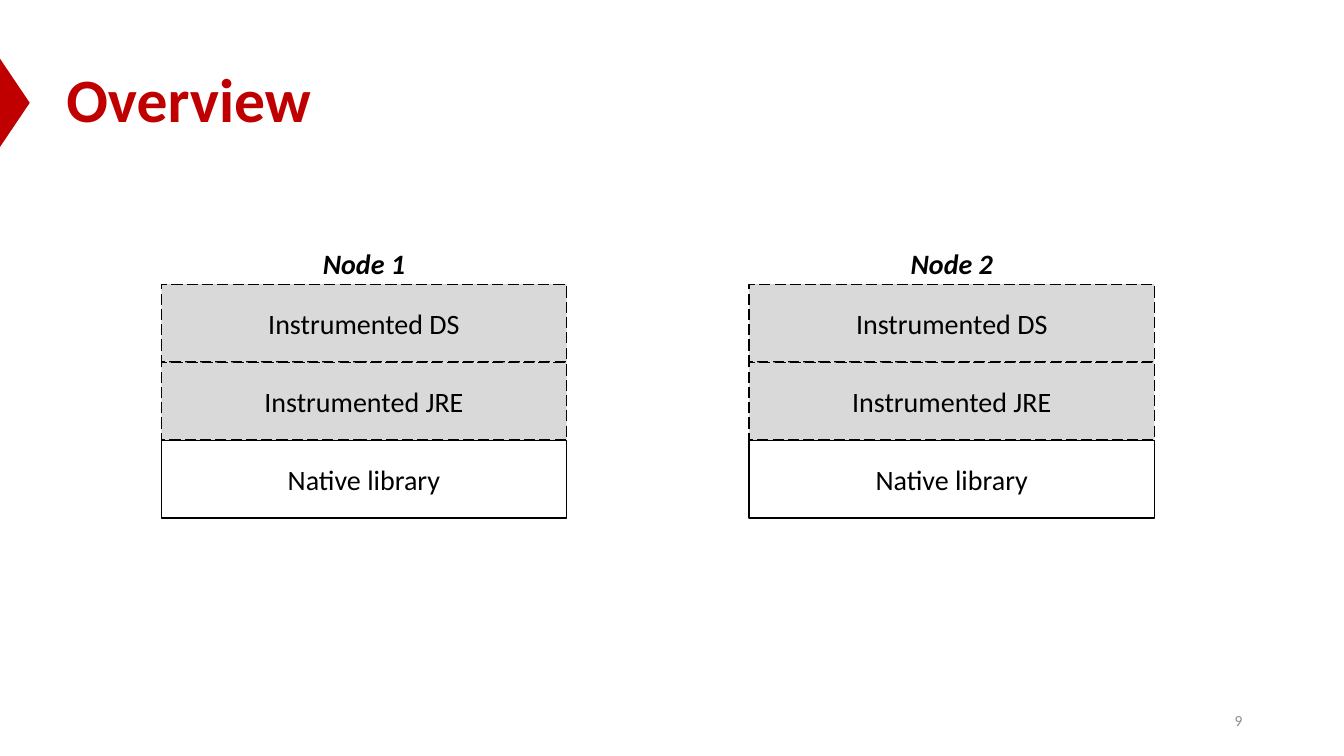
import pptx
import pptx.dml.color
import pptx.enum.dml
import pptx.enum.shapes
import pptx.enum.text
import pptx.util

Inches = pptx.util.Inches
RGBColor = pptx.dml.color.RGBColor
Align = pptx.enum.text.PP_ALIGN
Anchor = pptx.enum.text.MSO_ANCHOR
Preset = pptx.enum.shapes.MSO_SHAPE

TITLE = "Overview"
PAGE_NUMBER = "9"
NODES = ["Node 1", "Node 2"]
LAYERS = [  # label, instrumented
    ("Instrumented DS", True),
    ("Instrumented JRE", True),
    ("Native library", False),
]

RED = RGBColor(0xC0, 0x00, 0x00)
BLACK = RGBColor(0x00, 0x00, 0x00)
GREY = RGBColor(0x8C, 0x8C, 0x8C)
LIGHT_GREY = RGBColor(0xD9, 0xD9, 0xD9)

SLIDE_WIDTH, SLIDE_HEIGHT = 13.33, 7.5
STACK_LEFT, STACK_TOP = 1.6, 2.82
STACK_PITCH = 5.83
LAYER_WIDTH, LAYER_HEIGHT = 4.02, 0.77
LAYER_PITCH = 0.775
NODE_WIDTH, NODE_HEIGHT = 1.34, 0.44


def write(shape, text, size, color, align=Align.CENTER, anchor=Anchor.MIDDLE,
          bold=False, italic=False):
    frame = shape.text_frame
    frame.word_wrap = True
    frame.vertical_anchor = anchor
    frame.text = text
    paragraph = frame.paragraphs[0]
    paragraph.alignment = align
    font = paragraph.runs[0].font
    font.name, font.size = "Calibri", pptx.util.Pt(size)
    font.bold, font.italic = bold, italic
    font.color.rgb = color


def add_text(slide, box, *args, **style):
    label = slide.shapes.add_textbox(*map(Inches, box))
    write(label, *args, **style)
    return label


def add_layer(slide, left, top, text, instrumented):
    layer = slide.shapes.add_shape(
        Preset.RECTANGLE, *map(Inches, (left, top, LAYER_WIDTH, LAYER_HEIGHT)))
    layer.shadow.inherit = False
    layer.line.color.rgb = BLACK
    layer.line.width = pptx.util.Pt(1)
    if instrumented:
        layer.fill.solid()
        layer.fill.fore_color.rgb = LIGHT_GREY
        layer.line.dash_style = pptx.enum.dml.MSO_LINE.LONG_DASH
    else:
        layer.fill.background()
    frame = layer.text_frame
    frame.margin_left = frame.margin_right = 0
    frame.margin_top = frame.margin_bottom = 0
    write(layer, text, 20, BLACK)


def add_node(slide, left, name):
    add_text(slide, (left + (LAYER_WIDTH - NODE_WIDTH) / 2, STACK_TOP - 0.42,
                     NODE_WIDTH, NODE_HEIGHT),
             name, 20, BLACK, anchor=Anchor.TOP, bold=True, italic=True)
    for row, (text, instrumented) in enumerate(LAYERS):
        add_layer(slide, left, STACK_TOP + row * LAYER_PITCH, text, instrumented)


def main():
    deck = pptx.Presentation()
    deck.slide_width, deck.slide_height = Inches(SLIDE_WIDTH), Inches(SLIDE_HEIGHT)
    slide = deck.slides.add_slide(deck.slide_layouts[6])

    marker = slide.shapes.add_shape(
        Preset.ISOSCELES_TRIANGLE, *map(Inches, (-0.3, 0.87, 0.89, 0.3)))
    marker.rotation = 90
    marker.shadow.inherit = False
    marker.fill.solid()
    marker.fill.fore_color.rgb = RED
    marker.line.fill.background()

    title = add_text(slide, (0.56, 0.29, SLIDE_WIDTH - 0.56, 1.45), TITLE, 44, RED,
                     align=Align.LEFT, bold=True)
    title.text_frame.paragraphs[0].line_spacing = 0.9
    add_text(slide, (9.42, 6.95, 3, 0.4), PAGE_NUMBER, 11, GREY, align=Align.RIGHT)

    for column, name in enumerate(NODES):
        add_node(slide, STACK_LEFT + column * STACK_PITCH, name)

    deck.save("out.pptx")


if __name__ == "__main__":
    main()
